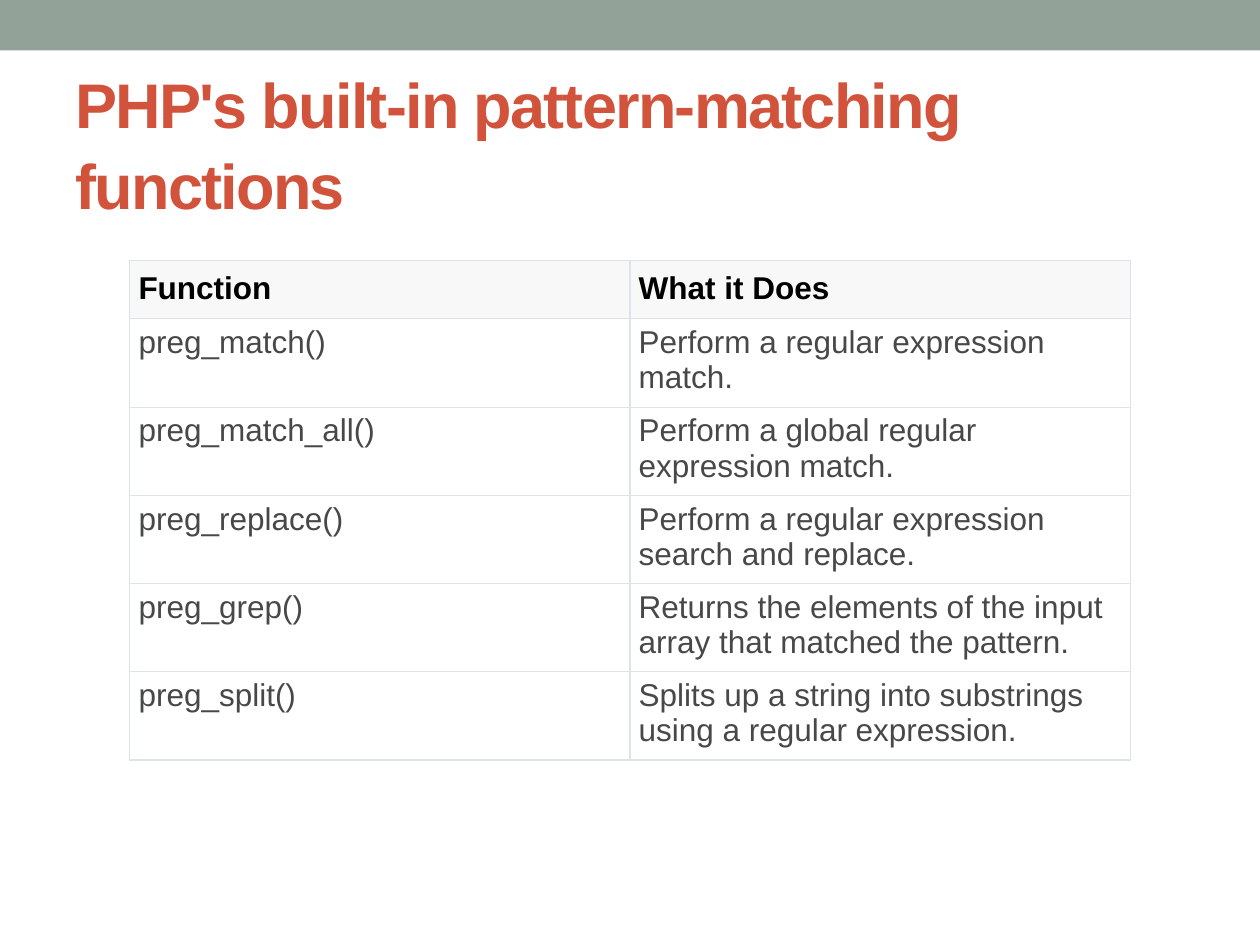
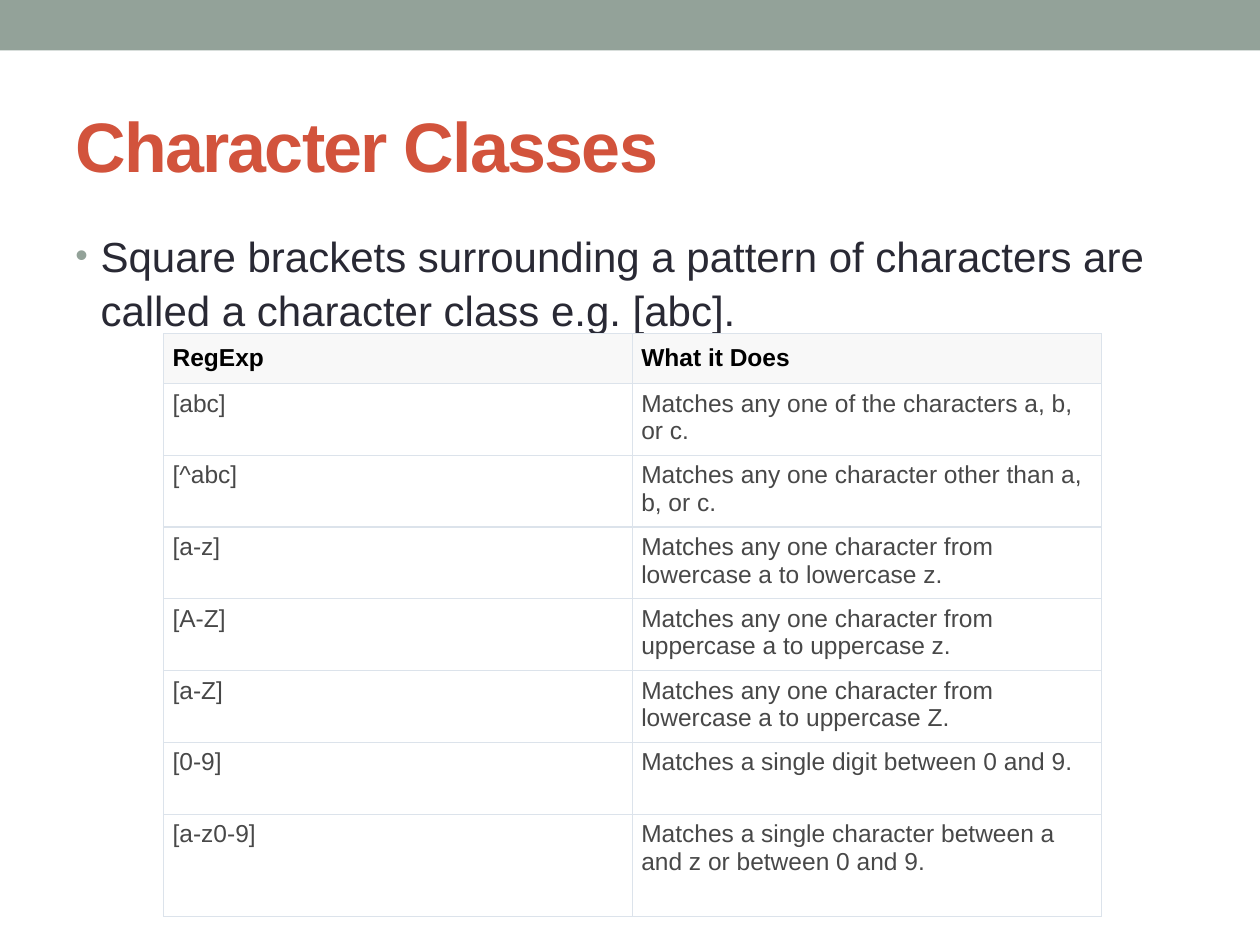
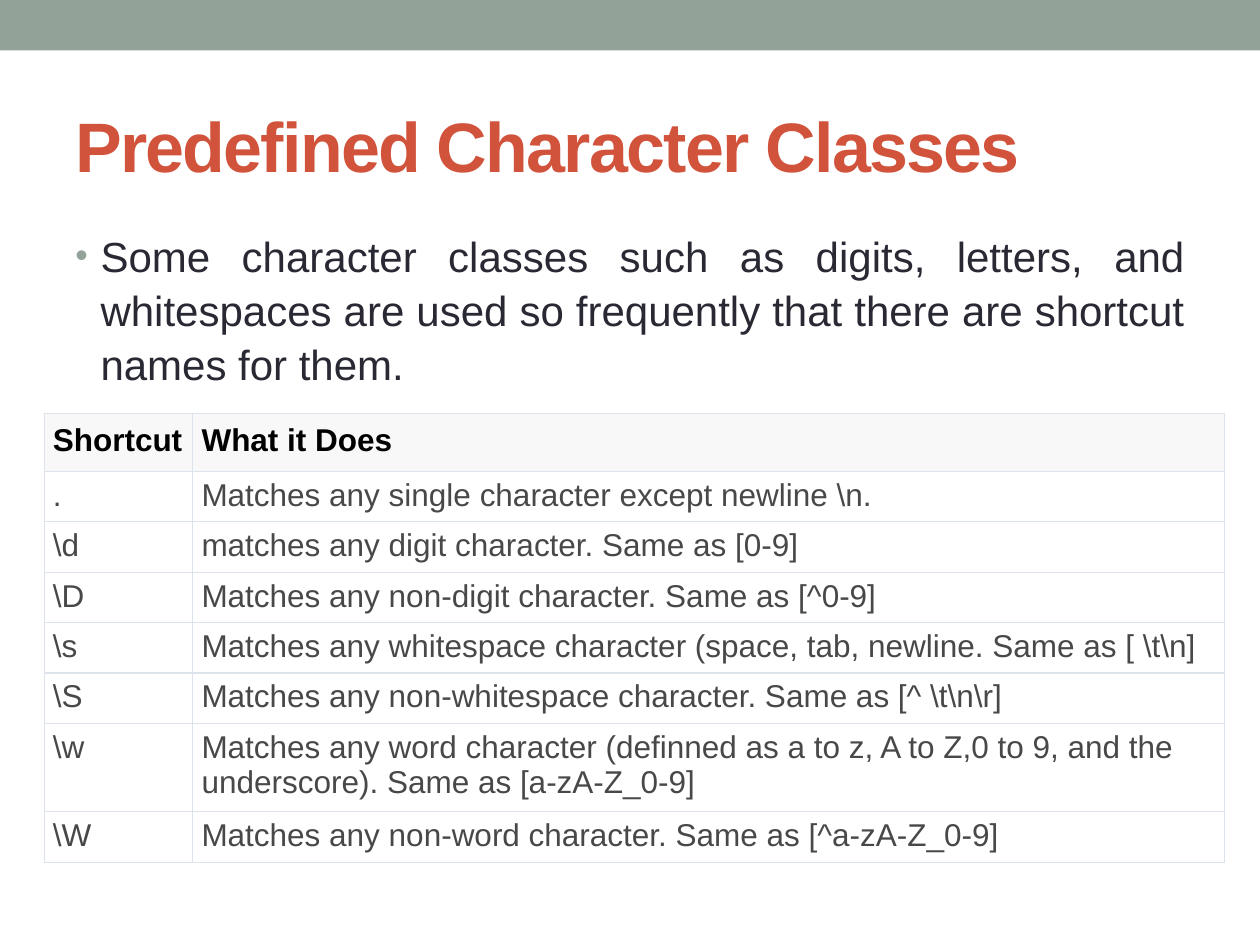
from lxml import etree
from pptx import Presentation
from pptx.dml.color import RGBColor
from pptx.enum.shapes import MSO_SHAPE
from pptx.enum.text import MSO_ANCHOR, PP_ALIGN
from pptx.oxml.ns import qn
from pptx.util import Inches, Pt

RECTANGLE = MSO_SHAPE.RECTANGLE
MIDDLE = MSO_ANCHOR.MIDDLE
TOP = MSO_ANCHOR.TOP
LEFT = PP_ALIGN.LEFT
JUSTIFY = PP_ALIGN.JUSTIFY

FONT = "Arial"
LINE_SPACING = 1.07
COLORS = {
    "band": "93A299",
    "title": "D2533C",
    "body": "292934",
    "header_text": "000000",
    "cell_text": "484848",
    "header_fill": "F8F8F8",
    "cell_fill": "FFFFFF",
    "border": "DCE3EB",
}

SLIDES = [
    {
        "title": "PHP's built-in pattern-matching functions",
        "title_size": 36,
        "table": {
            "left": 1.03, "top": 2.07, "size": 18,
            "columns": [3.97, 3.97],
            "heights": [0.45] + [0.66] * 5,
            "rows": [
                ("Function", "What it Does"),
                ("preg_match()", "Perform a regular expression match."),
                ("preg_match_all()", "Perform a global regular expression match."),
                ("preg_replace()", "Perform a regular expression search and replace."),
                ("preg_grep()", "Returns the elements of the input array that matched the pattern."),
                ("preg_split()", "Splits up a string into substrings using a regular expression."),
            ],
        },
    },
    {
        "title": "Character Classes",
        "title_size": 40,
        "bullet": "Square brackets surrounding a pattern of characters are called a character class e.g. [abc].",
        "alignment": LEFT,
        "table": {
            "left": 1.3, "top": 2.65, "size": 14,
            "columns": [3.72, 3.72],
            "heights": [0.38] + [0.57] * 6 + [0.81],
            "rows": [
                ("RegExp", "What it Does"),
                ("[abc]", "Matches any one of the characters a, b, or c."),
                ("[^abc]", "Matches any one character other than a, b, or c."),
                ("[a-z]", "Matches any one character from lowercase a to lowercase z."),
                ("[A-Z]", "Matches any one character from uppercase a to uppercase z."),
                ("[a-Z]", "Matches any one character from lowercase a to uppercase Z."),
                ("[0-9]", "Matches a single digit between 0 and 9."),
                ("[a-z0-9]", "Matches a single character between a and z or between 0 and 9."),
            ],
        },
    },
    {
        "title": "Predefined Character Classes",
        "title_size": 40,
        "bullet": "Some character classes such as digits, letters, and whitespaces are used so frequently "
                  "that there are shortcut names for them.",
        "alignment": JUSTIFY,
        "table": {
            "left": 0.35, "top": 3.28, "size": 18,
            "columns": [1.18, 8.19],
            "heights": [0.45] + [0.38] * 5 + [0.66, 0.38],
            "rows": [
                ("Shortcut", "What it Does"),
                (".", r"Matches any single character except newline \n."),
                (r"\d", "matches any digit character. Same as [0-9]"),
                (r"\D", "Matches any non-digit character. Same as [^0-9]"),
                (r"\s", r"Matches any whitespace character (space, tab, newline. Same as [ \t\n]"),
                (r"\S", r"Matches any non-whitespace character. Same as [^ \t\n\r]"),
                (r"\w", "Matches any word character (definned as a to z, A to Z,0 to 9, "
                        "and the underscore). Same as [a-zA-Z_0-9]"),
                (r"\W", "Matches any non-word character. Same as [^a-zA-Z_0-9]"),
            ],
        },
    },
]


def color(name):
    return RGBColor.from_string(COLORS[name])


def style_font(font, size, color_name, bold=False):
    font.name = FONT
    font.size = Pt(size)
    font.bold = bold
    font.color.rgb = color(color_name)


def add_band(slide, width):
    band = slide.shapes.add_shape(RECTANGLE, 0, 0, width, Inches(0.4))
    band.shadow.inherit = False
    band.fill.solid()
    band.fill.fore_color.rgb = color("band")
    band.line.fill.background()


def add_text(slide, text, top, height, anchor):
    box = slide.shapes.add_textbox(Inches(0.5), Inches(top), Inches(9), Inches(height))
    frame = box.text_frame
    frame.word_wrap = True
    frame.vertical_anchor = anchor
    frame.text = text
    paragraph = frame.paragraphs[0]
    paragraph.line_spacing = LINE_SPACING
    return paragraph


def add_title(slide, text, size):
    run = add_text(slide, text, 0.58, 1.08, MIDDLE).runs[0]
    style_font(run.font, size, "title", bold=True)
    run.font._element.set("spc", "-100")


def add_bullet(slide, text, alignment):
    paragraph = add_text(slide, text, 1.75, 5.33, TOP)
    paragraph.alignment = alignment
    properties = paragraph._p.get_or_add_pPr()
    properties.set("marL", str(Inches(0.2)))
    properties.set("indent", str(-Inches(0.2)))
    bullet_color = etree.SubElement(properties, qn("a:buClr"))
    etree.SubElement(bullet_color, qn("a:srgbClr"), val=COLORS["band"])
    etree.SubElement(properties, qn("a:buSzPct"), val="85000")
    etree.SubElement(properties, qn("a:buFont"), typeface=FONT)
    etree.SubElement(properties, qn("a:buChar"), char="•")
    style_font(paragraph.runs[0].font, 24, "body")


def add_borders(cell):
    properties = cell._tc.get_or_add_tcPr()
    for position, side in enumerate(("lnL", "lnR", "lnT", "lnB")):
        line = etree.Element(qn(f"a:{side}"), w=str(Pt(0.75)))
        fill = etree.SubElement(line, qn("a:solidFill"))
        etree.SubElement(fill, qn("a:srgbClr"), val=COLORS["border"])
        properties.insert(position, line)


def fill_cell(cell, text, size, is_header):
    kind = "header" if is_header else "cell"
    cell.margin_left = cell.margin_right = Inches(0.07)
    cell.margin_top = cell.margin_bottom = Inches(0.08 if is_header else 0.05)
    cell.fill.solid()
    cell.fill.fore_color.rgb = color(f"{kind}_fill")
    add_borders(cell)
    cell.text_frame.text = text
    run = cell.text_frame.paragraphs[0].runs[0]
    style_font(run.font, size, f"{kind}_text", bold=is_header)


def add_reference_table(slide, content):
    columns, heights, rows = content["columns"], content["heights"], content["rows"]
    table = slide.shapes.add_table(
        len(rows), len(columns), Inches(content["left"]), Inches(content["top"]),
        Inches(sum(columns)), Inches(sum(heights))).table
    table.horz_banding = False
    for column, width in zip(table.columns, columns):
        column.width = Inches(width)
    for row_index, (row, height, texts) in enumerate(zip(table.rows, heights, rows)):
        row.height = Inches(height)
        for cell, text in zip(row.cells, texts):
            fill_cell(cell, text, content["size"], row_index == 0)


def main():
    presentation = Presentation()
    presentation.slide_width = Inches(10)
    presentation.slide_height = Inches(7.5)
    for content in SLIDES:
        slide = presentation.slides.add_slide(presentation.slide_layouts[6])
        add_band(slide, presentation.slide_width)
        add_title(slide, content["title"], content["title_size"])
        if "bullet" in content:
            add_bullet(slide, content["bullet"], content["alignment"])
        add_reference_table(slide, content["table"])
    presentation.save("out.pptx")


if __name__ == "__main__":
    main()
